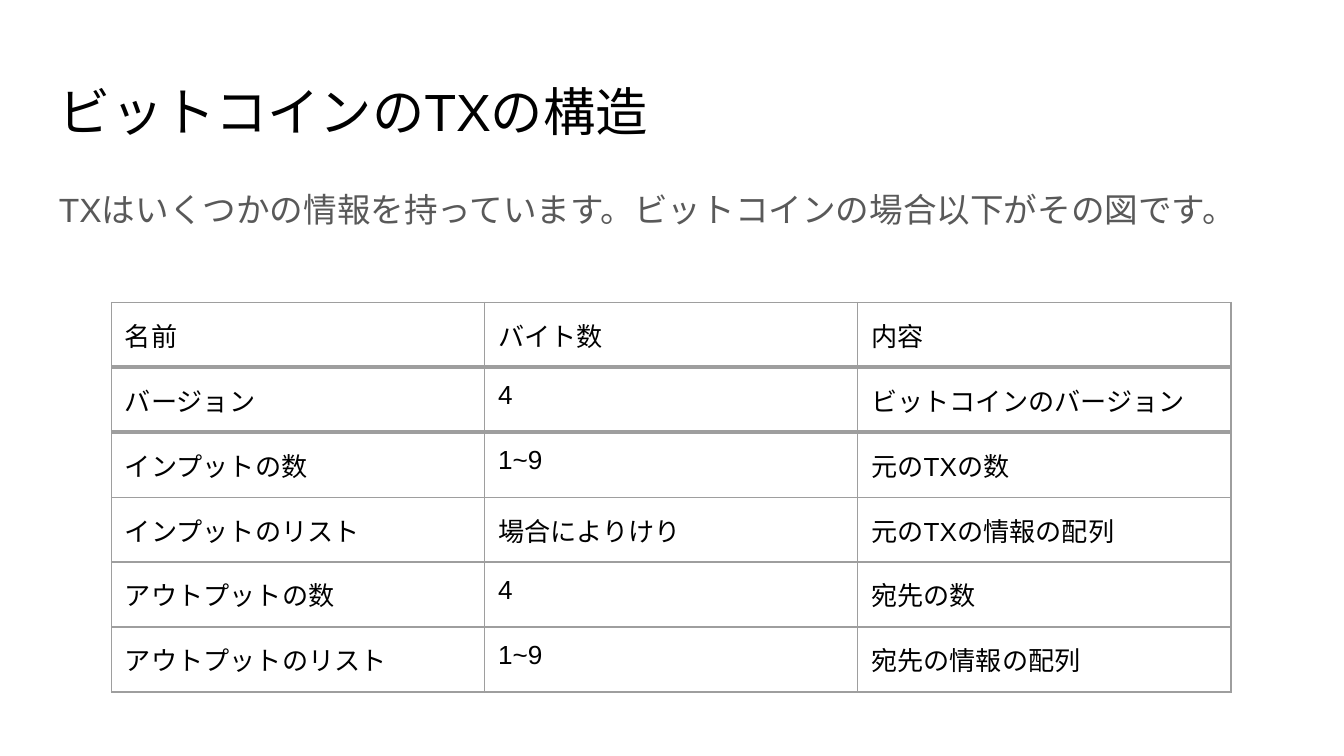
from lxml.etree import SubElement
from pptx import Presentation
from pptx.dml.color import RGBColor
from pptx.enum.text import MSO_ANCHOR
from pptx.oxml.ns import qn
from pptx.util import Inches, Pt

# Content
TITLE = "ビットコインのTXの構造"
INTRO = "TXはいくつかの情報を持っています。ビットコインの場合以下がその図です。"
ROWS = [
    ("名前", "バイト数", "内容"),
    ("バージョン", "4", "ビットコインのバージョン"),
    ("インプットの数", "1~9", "元のTXの数"),
    ("インプットのリスト", "場合によりけり", "元のTXの情報の配列"),
    ("アウトプットの数", "4", "宛先の数"),
    ("アウトプットのリスト", "1~9", "宛先の情報の配列"),
]

# Style
COLORS = {"text": "000000", "intro": "595959", "border": "9E9E9E"}
FONT = "Arial"
INSET = Inches(0.1)
THIN, THICK = Pt(0.75), Pt(2.25)
THICK_RULES = (1, 2)  # counted from the top edge of the table
TABLE_WIDTH, TABLE_HEIGHT = Inches(8.33), Inches(2.9)


def set_insets(target):
    target.margin_left = target.margin_right = INSET
    target.margin_top = target.margin_bottom = INSET


def write(text_frame, text, size, color, line_spacing=None):
    paragraph = text_frame.paragraphs[0]
    paragraph.line_spacing = line_spacing
    run = paragraph.add_run()
    run.text = text
    run.font.name = FONT
    run.font.size = Pt(size)
    run.font.color.rgb = RGBColor.from_string(COLORS[color])


def add_text(slide, top, height, *style):
    box = slide.shapes.add_textbox(Inches(0.34), Inches(top), Inches(9.32), Inches(height))
    text_frame = box.text_frame
    text_frame.word_wrap = True
    text_frame.vertical_anchor = MSO_ANCHOR.TOP
    set_insets(text_frame)
    write(text_frame, *style)


def rule_width(index):
    return THICK if index in THICK_RULES else THIN


def set_borders(cell, top, bottom):
    properties = cell._tc.get_or_add_tcPr()
    widths = {"a:lnL": THIN, "a:lnR": THIN, "a:lnT": top, "a:lnB": bottom}
    for position, (tag, width) in enumerate(widths.items()):
        line = SubElement(properties, qn(tag), w=str(int(width)))
        fill = SubElement(line, qn("a:solidFill"))
        SubElement(fill, qn("a:srgbClr"), val=COLORS["border"])
        SubElement(line, qn("a:prstDash"), val="solid")
        properties.insert(position, line)  # borders come before the fill


# Widescreen slide, 16:9
presentation = Presentation()
presentation.slide_width = Inches(10)
presentation.slide_height = Inches(10 * 9 / 16)
slide = presentation.slides.add_slide(presentation.slide_layouts[6])

# Title and introduction
add_text(slide, 0.49, 0.63, TITLE, 28, "text")
add_text(slide, 1.26, 0.51, INTRO, 18, "intro", 1.15)

# Table of transaction fields
column_count = len(ROWS[0])
table = slide.shapes.add_table(
    len(ROWS), column_count, Inches(0.83), Inches(2.25), TABLE_WIDTH, TABLE_HEIGHT
).table
table.first_row = table.horz_banding = False
for row_index, values in enumerate(ROWS):
    for column_index, value in enumerate(values):
        cell = table.cell(row_index, column_index)
        cell.fill.background()
        cell.vertical_anchor = MSO_ANCHOR.TOP
        set_insets(cell)
        write(cell.text_frame, value, 14, "text")
        set_borders(cell, rule_width(row_index), rule_width(row_index + 1))

presentation.save("out.pptx")
